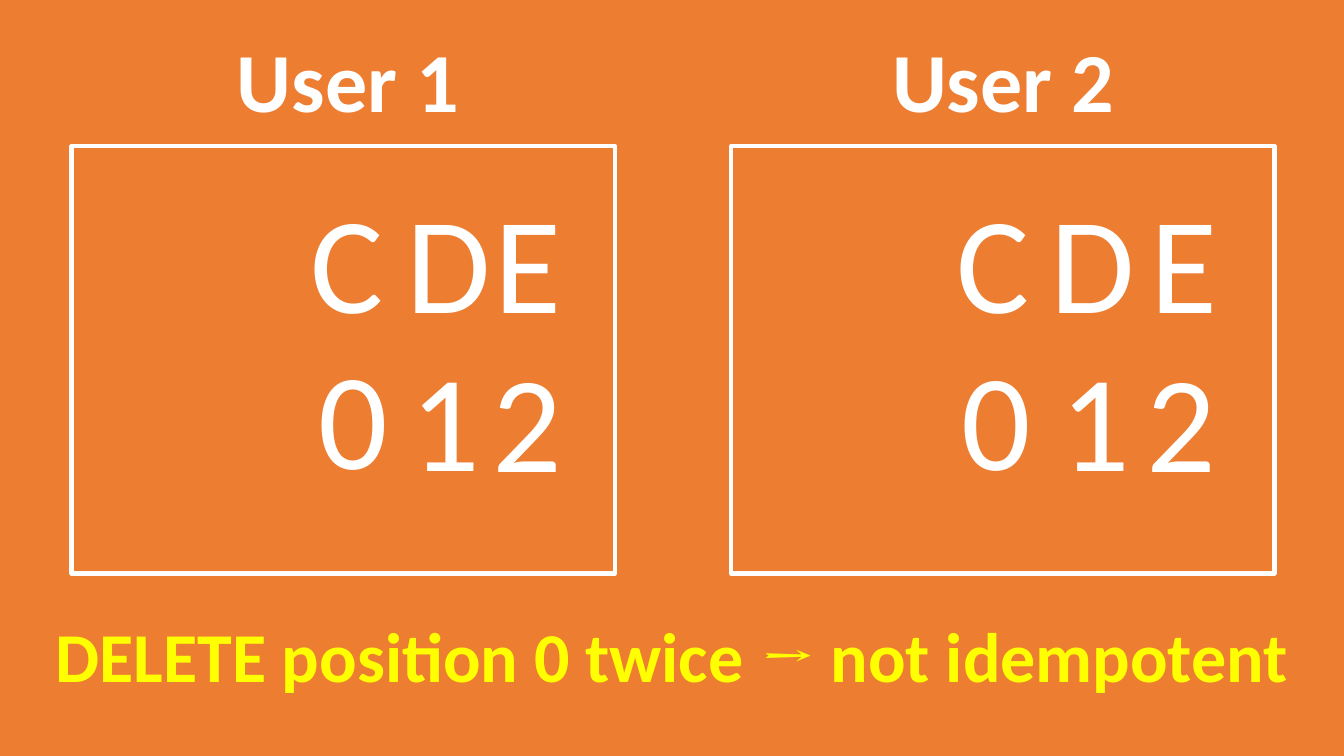
from pptx import Presentation
from pptx.dml.color import RGBColor
from pptx.enum import shapes, text
from pptx.util import Inches, Pt

ORANGE = RGBColor(0xED, 0x7D, 0x31)
WHITE = RGBColor(0xFF, 0xFF, 0xFF)
YELLOW = RGBColor(0xFF, 0xFF, 0x00)

LETTER_TOP = 1.7
FRAME_LEFTS = [7.25, 0.71]
POSITIONS = [
    [("2", 4.79, 3.28), ("1", 3.97, 3.27), ("0", 3.06, 3.25)],
    [("2", 11.27, 3.28), ("1", 10.42, 3.27), ("0", 9.44, 3.26)],
]
FIRST_LETTERS = [("C", 2.98), ("C", 9.39), ("D", 10.32)]
USERS = [("User 1", 1.94), ("User 2", 8.44)]
LAST_LETTERS = [("E", 11.31), ("E", 4.81), ("D", 3.93)]
CAPTION = [("DELETE position 0 twice ", "Calibri"), ("→ ", "Cambria"),
           ("not idempotent", "Calibri")]


def style_run(run, size, color, bold=False, font="Calibri"):
    """Format one run of text."""
    run.font.name = font
    run.font.size = Pt(size)
    run.font.bold = bold
    run.font.color.rgb = color


def fit_text(frame):
    """Wrap the text and let its box grow with it."""
    frame.word_wrap = True
    frame.auto_size = text.MSO_AUTO_SIZE.SHAPE_TO_FIT_TEXT


def add_label(slide, wording, left, top, width, height, size, bold=False):
    """Add a line of white text and return its paragraph."""
    label = slide.shapes.add_textbox(Inches(left), Inches(top), Inches(width), Inches(height))
    fit_text(label.text_frame)
    label.text_frame.text = wording
    line = label.text_frame.paragraphs[0]
    style_run(line.runs[0], size, WHITE, bold)
    return line


def add_character(slide, character, left, top=LETTER_TOP):
    """Add one letter of a document or one position number."""
    add_label(slide, character, left, top, 0.94, 1.75, 98)


def add_heading(slide, user, left):
    """Add a user's heading."""
    heading = add_label(slide, user, left, 0.23, 3.02, 1.11, 60, True)
    heading.alignment = text.PP_ALIGN.CENTER


def add_document_frame(slide, left):
    """Outline one user's document."""
    outline = slide.shapes.add_shape(shapes.MSO_SHAPE.RECTANGLE, Inches(left), Inches(1.45),
                                     Inches(5.39), Inches(4.24))
    outline.shadow.inherit = False
    outline.fill.background()
    outline.line.color.rgb = WHITE
    outline.line.width = Pt(3)


def add_caption(slide):
    """Move the title placeholder to the front and fill in the message."""
    caption = slide.shapes.title
    slide.shapes._spTree.append(caption._element)
    caption.left, caption.top = Inches(-0.12), Inches(6.03)
    caption.width, caption.height = Inches(13.57), Inches(0.94)
    fit_text(caption.text_frame)
    caption.text_frame.vertical_anchor = text.MSO_ANCHOR.TOP
    message = caption.text_frame.paragraphs[0]
    message.alignment = text.PP_ALIGN.CENTER
    for wording, font in CAPTION:
        run = message.add_run()
        run.text = wording
        style_run(run, 50, YELLOW, True, font)


def main():
    """Build and save the slide."""
    deck = Presentation()
    deck.slide_width, deck.slide_height = Inches(13.33), Inches(7.5)
    slide = deck.slides.add_slide(deck.slide_layouts[5])
    slide.background.fill.solid()
    slide.background.fill.fore_color.rgb = ORANGE
    for positions, frame_left in zip(POSITIONS, FRAME_LEFTS):
        for position in positions:
            add_character(slide, *position)
        add_document_frame(slide, frame_left)
    for letter in FIRST_LETTERS:
        add_character(slide, *letter)
    for user in USERS:
        add_heading(slide, *user)
    for letter in LAST_LETTERS:
        add_character(slide, *letter)
    add_caption(slide)
    deck.save("out.pptx")


main()
